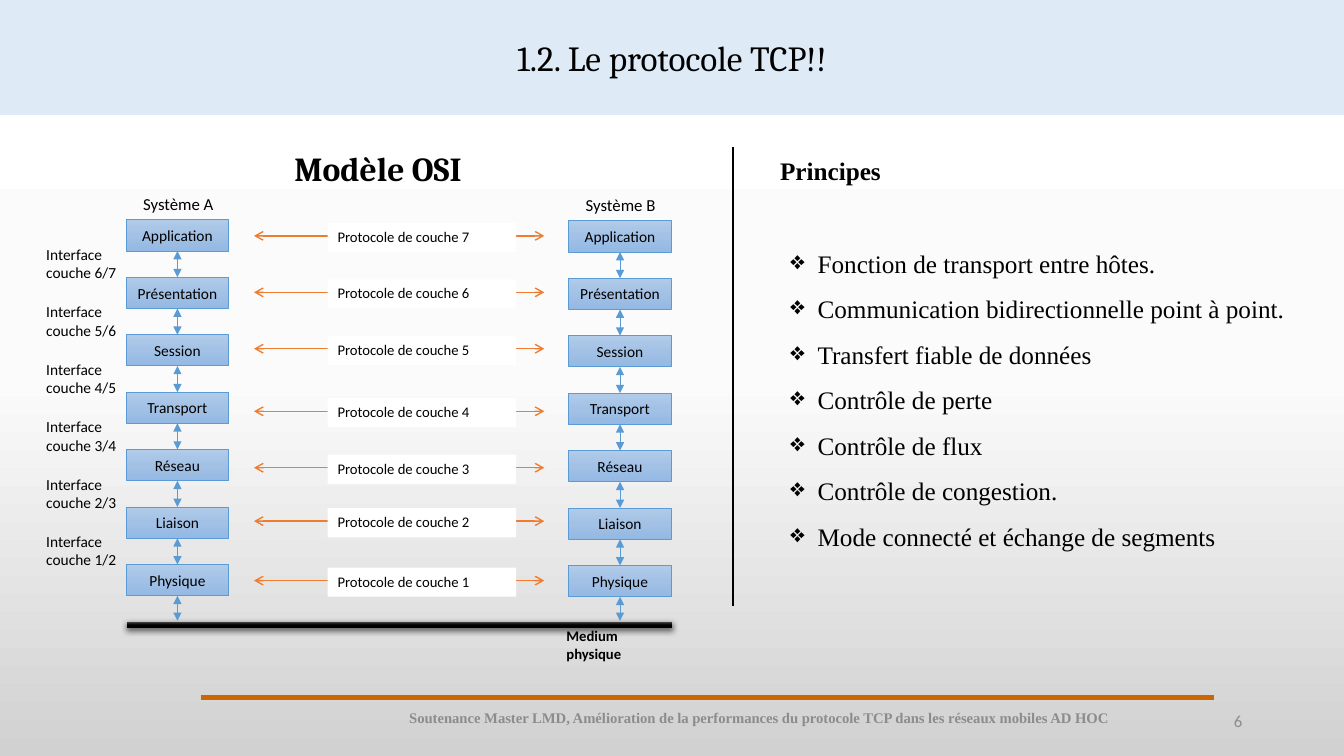
import copy
import lxml.etree
import pptx
import pptx.util
import pptx.dml.color
import pptx.enum.shapes
import pptx.enum.text
import pptx.oxml.ns

qn = pptx.oxml.ns.qn
Pt = pptx.util.Pt
ALIGN = pptx.enum.text.PP_ALIGN
ANCHOR = pptx.enum.text.MSO_ANCHOR

deck = pptx.Presentation()
deck.slide_width = pptx.util.Inches(13.33)
deck.slide_height = pptx.util.Inches(7.5)
slide = deck.slides.add_slide(deck.slide_layouts[6])
col = deck.slide_width / 100
row = deck.slide_height / 100
paints = [(slide, slide.background.fill, ["FFFFFF", "FBFBFB", "D1D1D1"])]


def hue(code):
    return pptx.dml.color.RGBColor.from_string(code)


def put(text, x, y, w, h, size=11, font="Calibri", color="000000", bold=False,
        align=ALIGN.LEFT, anchor=ANCHOR.TOP, wrap=True, fill=None, edge=None,
        mark=None, pitch=None):
    """Place text at shares (percent) of the slide; a fill makes it a rectangle."""
    place = [int(n) for n in (x * col, y * row, w * col, h * row)]
    if fill:
        kind = pptx.enum.shapes.MSO_SHAPE.RECTANGLE
        shape = slide.shapes.add_shape(kind, *place)
        shape.shadow.inherit = False
        if isinstance(fill, list):
            paints.append((shape, shape.fill, fill))
        else:
            shape.fill.solid()
            shape.fill.fore_color.rgb = hue(fill)
        if edge:
            shape.line.color.rgb = hue(edge)
            shape.line.width = Pt(0.5)
        else:
            shape.line.fill.background()
    else:
        shape = slide.shapes.add_textbox(*place)
    frame = shape.text_frame
    frame.word_wrap = wrap
    frame.vertical_anchor = anchor
    for i, line in enumerate(text.split("\n") if text else []):
        para = frame.add_paragraph() if i else frame.paragraphs[0]
        para.text = line
        para.alignment = align
        if pitch:
            para.line_spacing = Pt(pitch)
        if mark:
            props = para._p.get_or_add_pPr()
            indent = pptx.util.Inches(0.27)
            props.set("marL", str(indent))
            props.set("indent", str(-indent))
            lxml.etree.SubElement(props, qn("a:buChar")).set("char", mark)
        para.font.size = Pt(size)
        para.font.name = font
        para.font.bold = bold
        para.font.color.rgb = hue(color)
    return shape


MID = dict(align=ALIGN.CENTER, anchor=ANCHOR.MIDDLE)
BLUE, ORANGE, GREY = "5B9BD5", "ED7D31", "8C8C8C"
TIMES = "Times New Roman"

put("1.2. Le protocole TCP!!", 0, 0, 100, 15.2, size=25.2, font="Cambria",
    fill="DEEBF7", **MID)

# Each line: x1, y1, x2, y2, colour, width, arrowhead, joined boxes
lines = [
    (14.93, 92.27, 90.32, 92.27, "CC6600", 3, None, None),
    (54.54, 19.47, 54.54, 80.13, "000000", 2, None, None),
]

# Two stacks of layers
layers = ["Application", "Présentation", "Session", "Transport", "Réseau",
          "Liaison", "Physique"]
step, wide, high = 7.6, 7.65, 4.13
for name, left, top in [("Système A", 9.38, 29.07), ("Système B", 42.31, 29.2)]:
    put(name, left + 0.53, top - high, 8.03, 4, size=12, wrap=False)
    boxes = [put(layer, left, top + i * step, wide, high, edge=BLUE,
                 fill=["B1CBE9", "A3C1E5", "93B9E4"], **MID)
             for i, layer in enumerate(layers)]
    mid = left + wide / 2
    for i, pair in enumerate(zip(boxes, boxes[1:])):
        y = top + i * step
        lines.append((mid, y + high, mid, y + step, BLUE, 0.5, "triangle", pair))
    foot = top + 6 * step + high
    lines.append((mid, foot, mid, 82.13, BLUE, 0.5, "triangle", None))

# Physical medium
cable = put("", 9.45, 82.27, 40.58, 0.8, fill=["4B4B4B", "000000", "000000"])
glow = cable.element.spPr.find(qn("a:effectLst"))
shade = lxml.etree.SubElement(glow, qn("a:outerShdw"), blurRad=str(Pt(4.5)),
                              dist=str(Pt(1.5)), dir="5400000", rotWithShape="0")
black = lxml.etree.SubElement(shade, qn("a:srgbClr"), val="000000")
lxml.etree.SubElement(black, qn("a:alpha"), val="63000")
put("Medium physique", 41.41, 82.27, 8.25, 6.27, size=10.5, bold=True)

levels = [31.2, 38.67, 46.13, 54.4, 61.87, 68.93, 76.8]
for y in levels:
    lines.append((18.9, y, 40.5, y, ORANGE, 1, "arrow", None))

for x1, y1, x2, y2, color, width, head, pair in lines:
    ends = [int(n) for n in (x1 * col, y1 * row, x2 * col, y2 * row)]
    link = slide.shapes.add_connector(
        pptx.enum.shapes.MSO_CONNECTOR.STRAIGHT, *ends)
    if pair:
        link.begin_connect(pair[0], 2)
        link.end_connect(pair[1], 0)
    link.line.color.rgb = hue(color)
    link.line.width = Pt(width)
    if head:
        stroke = link.line._get_or_add_ln()
        for tag in ("a:headEnd", "a:tailEnd"):
            lxml.etree.SubElement(stroke, qn(tag), type=head)
    lxml.etree.SubElement(link.element.spPr, qn("a:effectLst"))

for i, y in enumerate(levels):
    put(f"Protocole de couche {7 - i}", 24.38, y - 1.73, 14.03, 3.87, size=10.5,
        fill="FFFFFF", wrap=False)
for i in range(6):
    put(f"Interface couche {6 - i}/{7 - i}", 2.7, 31.73 + i * step, 7.13, 8.8)

put("Modèle OSI", 21.16, 18.93, 14.48, 6.67, size=24, font="Cambria", bold=True,
    wrap=False)
put("Principes", 57.31, 19.87, 20, 5, size=18, font=TIMES, bold=True)
points = ["Fonction de transport entre hôtes.",
          "Communication bidirectionnelle point à point.",
          "Transfert fiable de données",
          "Contrôle de perte",
          "Contrôle de flux",
          "Contrôle de congestion.",
          "Mode connecté et échange de segments"]
put("\n".join(points), 58.07, 30.13, 41, 43.5, size=18, font=TIMES, mark="❖",
    pitch=32.5)

put("Soutenance Master LMD, Amélioration de la performances du protocole TCP "
    "dans les réseaux mobiles AD HOC", 22.66, 92.27, 67.67, 5.33, size=10.5,
    font=TIMES, color=GREY, bold=True, **MID)
put("6", 70.67, 92.67, 22.5, 5.33, size=12, color=GREY, align=ALIGN.RIGHT,
    anchor=ANCHOR.MIDDLE)

# Vertical gradients with three stops
for owner, fill, tones in paints:
    fill.gradient()
    fill.gradient_angle = 270
    stops = next(owner.element.iter(qn("a:gsLst")))
    stops.append(copy.deepcopy(stops[0]))
    for i, (stop, tone) in enumerate(zip(fill.gradient_stops, tones)):
        stop.color.rgb = hue(tone)
        stop.position = i / 2

deck.save("out.pptx")
